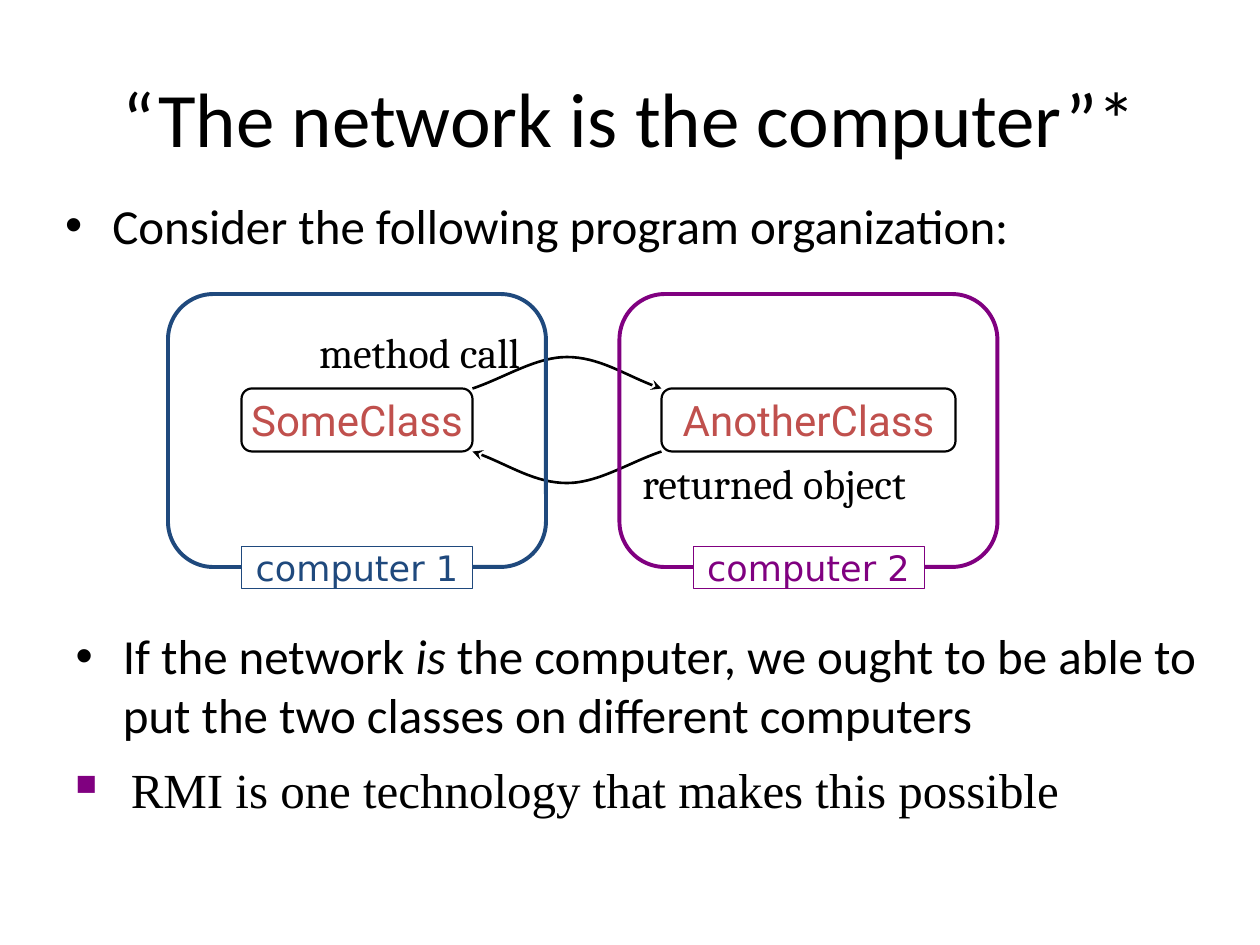
import pptx
import pptx.util
import pptx.dml.color
import pptx.enum.shapes
import pptx.enum.text
import pptx.oxml
import pptx.oxml.ns

RGBColor = pptx.dml.color.RGBColor
BLACK = RGBColor(0x00, 0x00, 0x00)
WHITE = RGBColor(0xFF, 0xFF, 0xFF)
RED = RGBColor(0xC0, 0x50, 0x4D)
NAVY = RGBColor(0x1F, 0x49, 0x7D)
PURPLE = RGBColor(0x80, 0x00, 0x80)
ROUNDED = pptx.enum.shapes.MSO_SHAPE.ROUNDED_RECTANGLE
RECTANGLE = pptx.enum.shapes.MSO_SHAPE.RECTANGLE
ANCHOR = pptx.enum.text.MSO_ANCHOR
CENTER = pptx.enum.text.PP_ALIGN.CENTER
qn = pptx.oxml.ns.qn

deck = pptx.Presentation()
deck.slide_width = pptx.util.Inches(10)
deck.slide_height = pptx.util.Inches(7.5)
COLUMN = deck.slide_width // 120
ROW = deck.slide_height // 90
page = deck.slides.add_slide(deck.slide_layouts[3])


def write(box, text, font="Calibri", size=28, color=BLACK, italic=False, align=None,
          anchor=None, wrap=True):
    frame = box.text_frame
    frame.auto_size = pptx.enum.text.MSO_AUTO_SIZE.NONE
    frame.word_wrap = wrap
    if anchor is not None:
        frame.vertical_anchor = anchor
    para = frame.paragraphs[0]
    para.space_before = pptx.util.Pt(0)
    if align is not None:
        para.alignment = align
    span = para.add_run()
    span.text = text
    span.font.name = font
    span.font.size = pptx.util.Pt(size)
    span.font.color.rgb = color
    span.font.italic = italic
    return para


def outline(box, color, width, fill=None):
    box.shadow.inherit = False
    box.line.color.rgb = color
    box.line.width = pptx.util.Pt(width)
    if fill is None:
        box.fill.background()
    else:
        box.fill.solid()
        box.fill.fore_color.rgb = fill


title, opening, argument = page.placeholders
for box, (left, top, width, height) in (
    (title, (6, 3.6, 108, 15)),
    (opening, (5, 18, 110, 8)),
    (argument, (6, 59, 110, 16)),
):
    box.left, box.width = int(left * COLUMN), int(width * COLUMN)
    box.top, box.height = int(top * ROW), int(height * ROW)

write(title, "“The network is the computer”*", size=44, align=CENTER, anchor=ANCHOR.MIDDLE)
write(opening, "Consider the following program organization:")
write(argument, "If the network ")
write(argument, "is", italic=True)
write(argument, " the computer, we ought to be able to put the two classes on different computers")

for name, left, width in (("SomeClass", 23, 22), ("AnotherClass", 63, 28)):
    box = page.shapes.add_shape(ROUNDED, left * COLUMN, 37 * ROW, width * COLUMN, 6 * ROW)
    outline(box, BLACK, 1.25)
    write(box, name, font="Roboto", size=24, color=RED, align=CENTER,
          anchor=ANCHOR.MIDDLE, wrap=False)

for start, side, row, bend in ((45, 1, 37, -1), (63, -1, 43, 1)):
    controls = [(start + side * 3 * step, row + bend * rise)
                for step, rise in enumerate((0, 1.5, 3, 3, 3, 1.5, 0))]
    builder = page.shapes.build_freeform(*controls[0], scale=COLUMN)
    builder.add_line_segments(controls[1:], close=False)
    arrow = builder.convert_to_shape()
    outline(arrow, BLACK, 1.5)
    track = arrow.element.find(".//" + qn("a:path"))
    segments = track.findall(qn("a:lnTo"))
    for first in range(0, len(segments), 3):
        curve = pptx.oxml.parse_xml(f"<a:cubicBezTo {pptx.oxml.ns.nsdecls('a')}/>")
        for segment in segments[first:first + 3]:
            curve.append(segment[0])
            track.remove(segment)
        track.append(curve)
    arrow.line._get_or_add_ln().append(
        pptx.oxml.parse_xml(f'<a:tailEnd {pptx.oxml.ns.nsdecls("a")} type="stealth"/>'))

for label, left, top, width in (("method call", 29.2, 30.5, 22), ("returned object", 60, 43, 28)):
    box = page.shapes.add_textbox(int(left * COLUMN), int(top * ROW), width * COLUMN, 6 * ROW)
    write(box, label, font="Cambria", size=24)

box = page.shapes.add_textbox(6 * COLUMN, 65 * ROW, 108 * COLUMN, int(13.5 * ROW))
para = write(box, "RMI is one technology that makes this possible",
             font="Times New Roman", anchor=ANCHOR.BOTTOM)
properties = para._p.get_or_add_pPr()
indent = pptx.util.Inches(0.44)
properties.set("marL", str(indent))
properties.set("indent", str(-indent))
for tag, attributes, inner in (
    ("buClr", "", f'<a:srgbClr val="{PURPLE}"/>'),
    ("buSzPct", 'val="60000"', ""),
    ("buChar", 'char="■"', ""),
):
    properties.append(pptx.oxml.parse_xml(
        f"<a:{tag} {pptx.oxml.ns.nsdecls('a')} {attributes}>{inner}</a:{tag}>"))

computers = (("computer 1", 16, 23, NAVY), ("computer 2", 59, 66, PURPLE))
for name, left, label_left, color in computers:
    box = page.shapes.add_shape(ROUNDED, left * COLUMN, 28 * ROW, 36 * COLUMN, 26 * ROW)
    outline(box, color, 2.25)
for name, left, label_left, color in computers:
    box = page.shapes.add_shape(RECTANGLE, label_left * COLUMN, 52 * ROW, 22 * COLUMN, 4 * ROW)
    outline(box, color, 0.25, fill=WHITE)
    write(box, name, font="DejaVu Sans", size=20, color=color, align=CENTER,
          anchor=ANCHOR.MIDDLE, wrap=False)

deck.save("out.pptx")
